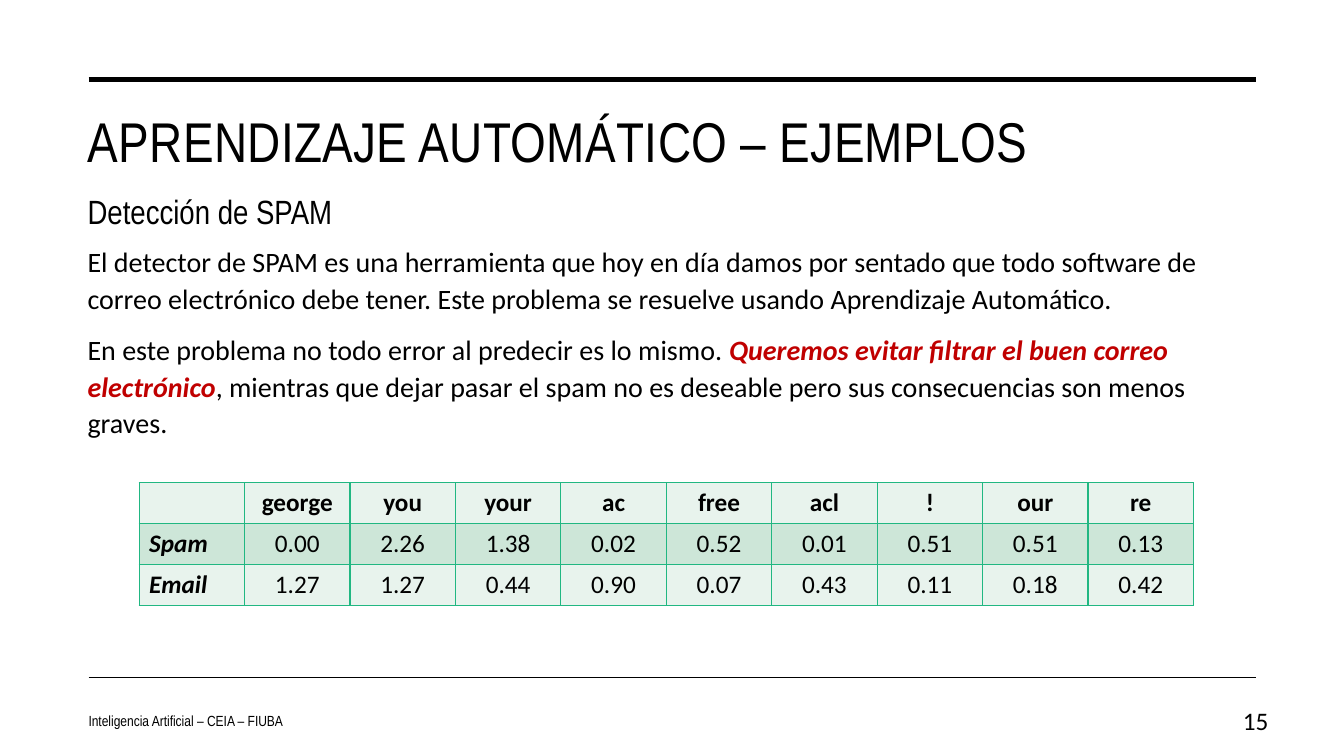
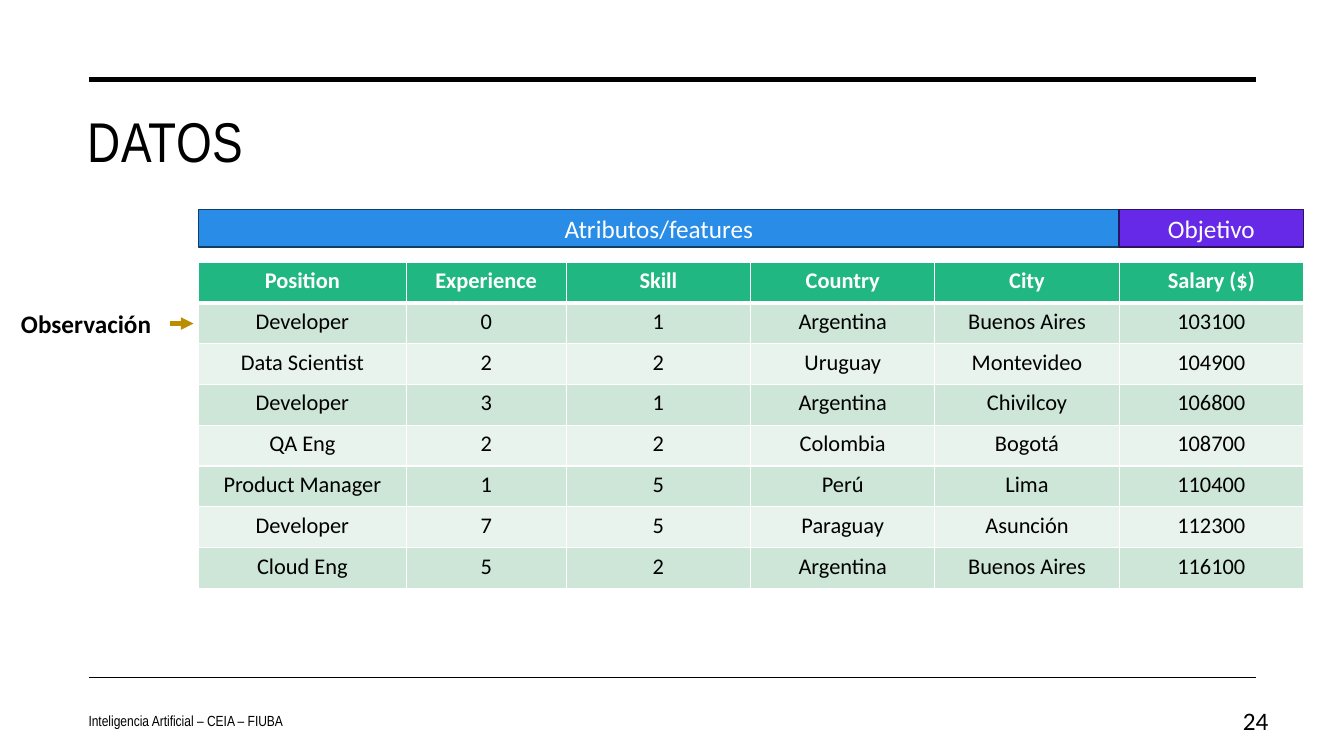
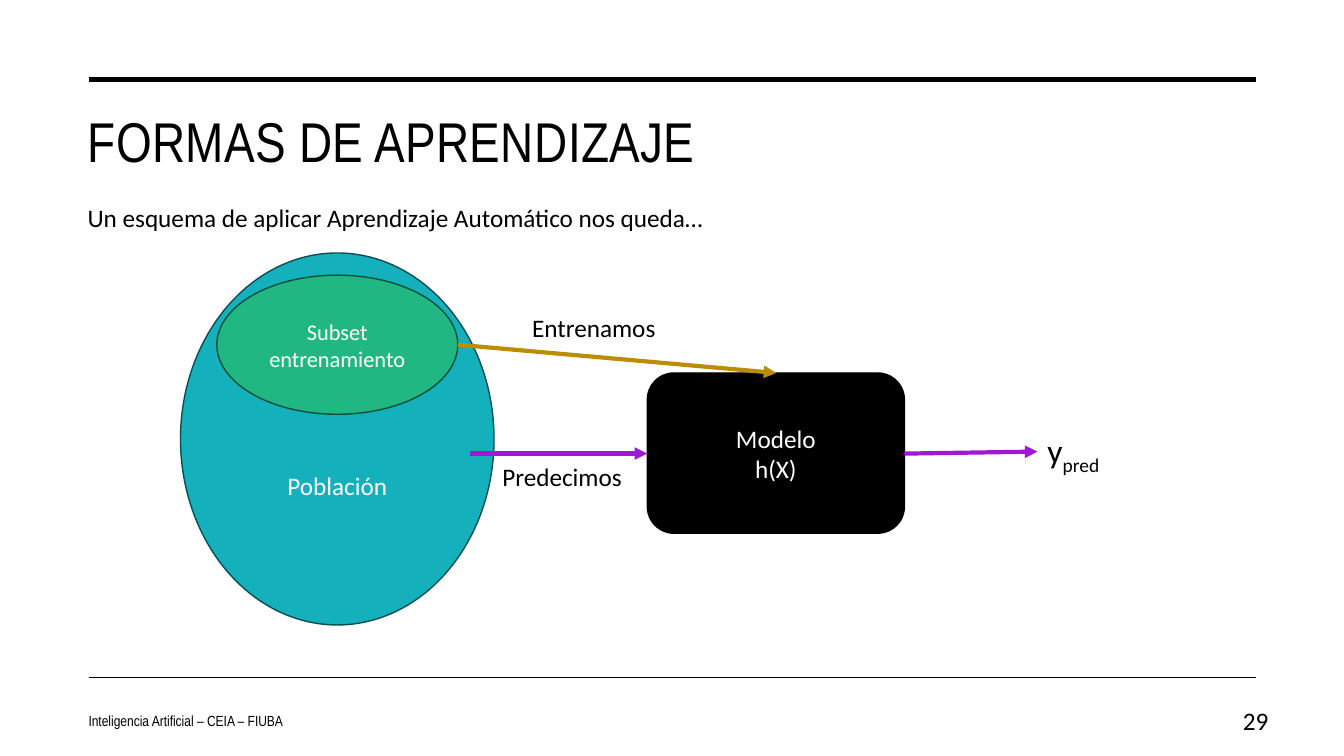
from lxml import etree
from pptx import Presentation
from pptx.dml.color import RGBColor
from pptx.enum.shapes import MSO_CONNECTOR, MSO_SHAPE
from pptx.enum.text import MSO_ANCHOR, MSO_AUTO_SIZE, PP_ALIGN
from pptx.oxml.ns import qn
from pptx.util import Emu, Pt

LEFT, CENTER, RIGHT = PP_ALIGN.LEFT, PP_ALIGN.CENTER, PP_ALIGN.RIGHT
TOP, MIDDLE = MSO_ANCHOR.TOP, MSO_ANCHOR.MIDDLE
NO_AUTOFIT = MSO_AUTO_SIZE.NONE
STRAIGHT = MSO_CONNECTOR.STRAIGHT
RECT, ELLIPSE, ROUNDED = MSO_SHAPE.RECTANGLE, MSO_SHAPE.OVAL, MSO_SHAPE.ROUNDED_RECTANGLE

EMU_PER_PX = 9144
HEAD_FONT, BODY_FONT = "Arial Narrow", "Calibri"
BLACK, WHITE, RED = "000000", "FFFFFF", "C00000"
GREEN, MINT, PALE_MINT = "21B782", "CDE6D8", "E8F3ED"
TEAL, BLUE, VIOLET = "14B1BC", "298CE7", "6529E7"
GOLD, PURPLE = "BA8E00", "A217D5"
FOOTER = "Inteligencia Artificial – CEIA – FIUBA"


def px(n):
    return Emu(n * EMU_PER_PX)


def rgb(hex_color):
    return RGBColor.from_string(hex_color)


def style(p, size, color=BLACK, font=BODY_FONT, bold=False, italic=False, align=LEFT):
    p.alignment = align
    p.font.size, p.font.name = Pt(size), font
    p.font.bold, p.font.italic = bold, italic
    p.font.color.rgb = rgb(color)


def fill_frame(tf, paragraphs, anchor=TOP, **fmt):
    """Write paragraphs, each a list of strings, and return them."""
    tf.word_wrap, tf.auto_size, tf.vertical_anchor = True, NO_AUTOFIT, anchor
    for i, runs in enumerate(paragraphs):
        p = tf.add_paragraph() if i else tf.paragraphs[0]
        for text in runs:
            p.add_run().text = text
        style(p, **fmt)
    return tf.paragraphs


def add_text(s, box, *paragraphs, **fmt):
    tf = s.shapes.add_textbox(*map(px, box)).text_frame
    return fill_frame(tf, paragraphs, **fmt)


def add_body(s, box, *paragraphs, size):
    ps = add_text(s, box, *paragraphs, size=size)
    for i, p in enumerate(ps):
        p.line_spacing = 1.1
        p.space_before = Pt(10 if i else 0)
    return ps


def add_block(s, kind, box, fill, line, *lines, size=18):
    sp = s.shapes.add_shape(kind, *map(px, box))
    sp.shadow.inherit = False
    sp.fill.solid()
    sp.fill.fore_color.rgb = rgb(fill)
    sp.line.color.rgb = rgb(line)
    sp.line.width = Pt(1)
    fill_frame(sp.text_frame, [[text] for text in lines], anchor=MIDDLE,
               size=size, color=WHITE, align=CENTER)
    return sp


def add_line(s, start, end, color=BLACK, width=3, arrow=False):
    c = s.shapes.add_connector(STRAIGHT, *map(px, start + end))
    c.line.color.rgb = rgb(color)
    c.line.width = Pt(width)
    if arrow:
        etree.SubElement(c.line._get_or_add_ln(), qn("a:tailEnd"), type="triangle")
    etree.SubElement(c._element.spPr, qn("a:effectLst"))


def set_borders(cell, color, top=1, bottom=1):
    tcPr = cell._tc.get_or_add_tcPr()
    for side, width in zip("LRTB", (1, 1, top, bottom)):
        ln = etree.SubElement(tcPr, qn(f"a:ln{side}"), w=str(Pt(width)))
        fill = etree.SubElement(ln, qn("a:solidFill"))
        etree.SubElement(fill, qn("a:srgbClr"), val=color)


def add_grid(s, box, rows, weights, size, border, head_fill, head_color=BLACK,
             head_rule=1, row_titles=False):
    """Draw a banded table whose columns share the box width by weight."""
    table = s.shapes.add_table(len(rows), len(weights), *map(px, box)).table
    table.first_row = table.horz_banding = False
    for column, weight in zip(table.columns, weights):
        column.width = Emu(px(box[2]) * weight // sum(weights))
    for i, row in enumerate(rows):
        fill = (PALE_MINT, MINT)[i % 2] if i else head_fill
        for j, text in enumerate(row):
            cell = table.cell(i, j)
            set_borders(cell, border, top=head_rule if i == 1 else 1,
                        bottom=1 if i else head_rule)
            cell.fill.solid()
            cell.fill.fore_color.rgb = rgb(fill)
            cell.text = text
            row_title = row_titles and i > 0 and j == 0
            style(cell.text_frame.paragraphs[0], size, BLACK if i else head_color,
                  bold=i == 0 or row_title, italic=row_title,
                  align=LEFT if row_title else CENTER)


def new_slide(prs, title, number):
    """Add a slide with the shared rules, title and footer."""
    s = prs.slides.add_slide(prs.slide_layouts[5])
    for y, width in ((79, 3.5), (672, 1)):
        add_line(s, (88, y), (1246, y), width=width)
    sp = s.shapes.title
    sp.left, sp.top, sp.width, sp.height = map(px, (77, 101, 1169, 150))
    p, = fill_frame(sp.text_frame, [[title]], size=40, font=HEAD_FONT)
    p.runs[0].font._element.set("spc", "30")
    add_text(s, (78, 695, 496, 40), [FOOTER], anchor=MIDDLE, size=10.5, font=HEAD_FONT)
    add_text(s, (1194, 695, 74, 40), [str(number)], anchor=MIDDLE, size=18, align=RIGHT)
    return s


def spam_slide(prs):
    s = new_slide(prs, "APRENDIZAJE AUTOMÁTICO – EJEMPLOS", 15)
    _, errors = add_body(
        s, (77, 234, 1169, 414),
        ["El detector de SPAM es una herramienta que hoy en día damos por sentado que todo "
         "software de correo electrónico debe tener. Este problema se resuelve usando "
         "Aprendizaje Automático."],
        ["En este problema no todo error al predecir es lo mismo. ",
         "Queremos evitar filtrar el buen correo electrónico",
         ", mientras que dejar pasar el spam no es deseable pero sus consecuencias son "
         "menos graves."],
        size=20)
    warning = errors.runs[1].font
    warning.bold = warning.italic = True
    warning.color.rgb = rgb(RED)
    add_text(s, (77, 184, 841, 50), ["Detección de SPAM"], size=24, font=HEAD_FONT)
    rows = [
        ["", "george", "you", "your", "ac", "free", "acl", "!", "our", "re"],
        ["Spam", "0.00", "2.26", "1.38", "0.02", "0.52", "0.01", "0.51", "0.51", "0.13"],
        ["Email", "1.27", "1.27", "0.44", "0.90", "0.07", "0.43", "0.11", "0.18", "0.42"],
    ]
    add_grid(s, (138, 479, 1046, 122), rows, [1] * 10, size=18, border=GREEN,
             head_fill=PALE_MINT, row_titles=True)


def data_slide(prs):
    s = new_slide(prs, "DATOS", 24)
    rows = [
        ["Position", "Experience", "Skill", "Country", "City", "Salary ($)"],
        ["Developer", "0", "1", "Argentina", "Buenos Aires", "103100"],
        ["Data Scientist", "2", "2", "Uruguay", "Montevideo", "104900"],
        ["Developer", "3", "1", "Argentina", "Chivilcoy", "106800"],
        ["QA Eng", "2", "2", "Colombia", "Bogotá", "108700"],
        ["Product Manager", "1", "5", "Perú", "Lima", "110400"],
        ["Developer", "7", "5", "Paraguay", "Asunción", "112300"],
        ["Cloud Eng", "5", "2", "Argentina", "Buenos Aires", "116100"],
    ]
    left, width, target_width = 197, 1096, 183
    features_width = width - target_width
    add_grid(s, (left, 260, width, 324), rows, [206, 159] + [183] * 4, size=16,
             border=WHITE, head_fill=GREEN, head_color=WHITE, head_rule=3)
    add_text(s, (11, 301, 158, 40), ["Observación"], size=18, bold=True)
    add_line(s, (169, 321), (192, 321), GOLD, arrow=True)
    add_block(s, RECT, (left, 208, features_width, 37), BLUE, "123D65", "Atributos/features")
    add_block(s, RECT, (left + features_width, 208, target_width, 37), VIOLET, "2C1265",
              "Objetivo")


def learning_slide(prs):
    s = new_slide(prs, "FORMAS DE APRENDIZAJE", 29)
    add_body(s, (77, 193, 1169, 455),
             ["Un esquema de aplicar Aprendizaje Automático nos queda…"], size=18)
    population = add_block(s, ELLIPSE, (179, 251, 311, 369), TEAL, "094E52", "Población")
    population.text_frame.margin_top = px(98)
    add_block(s, ELLIPSE, (215, 273, 239, 138), GREEN, "0E5039", "Subset entrenamiento",
              size=16)
    add_block(s, ROUNDED, (642, 370, 255, 159), BLACK, BLACK, "Modelo", "h(X)")
    add_line(s, (454, 342), (770, 370), GOLD, arrow=True)
    prediction, = add_text(s, (1029, 422, 80, 50), ["y", "pred"], size=24)
    prediction.runs[1].font._element.set("baseline", "-25000")
    add_line(s, (897, 450), (1029, 448), PURPLE, arrow=True)
    add_line(s, (466, 450), (642, 450), PURPLE, arrow=True)
    add_text(s, (518, 305, 150, 40), ["Entrenamos"], size=18)
    add_text(s, (485, 453, 145, 40), ["Predecimos"], size=18, align=CENTER)


def main():
    prs = Presentation()
    prs.slide_width, prs.slide_height = px(1333), px(750)
    for build in (spam_slide, data_slide, learning_slide):
        build(prs)
    prs.save("out.pptx")


if __name__ == "__main__":
    main()
